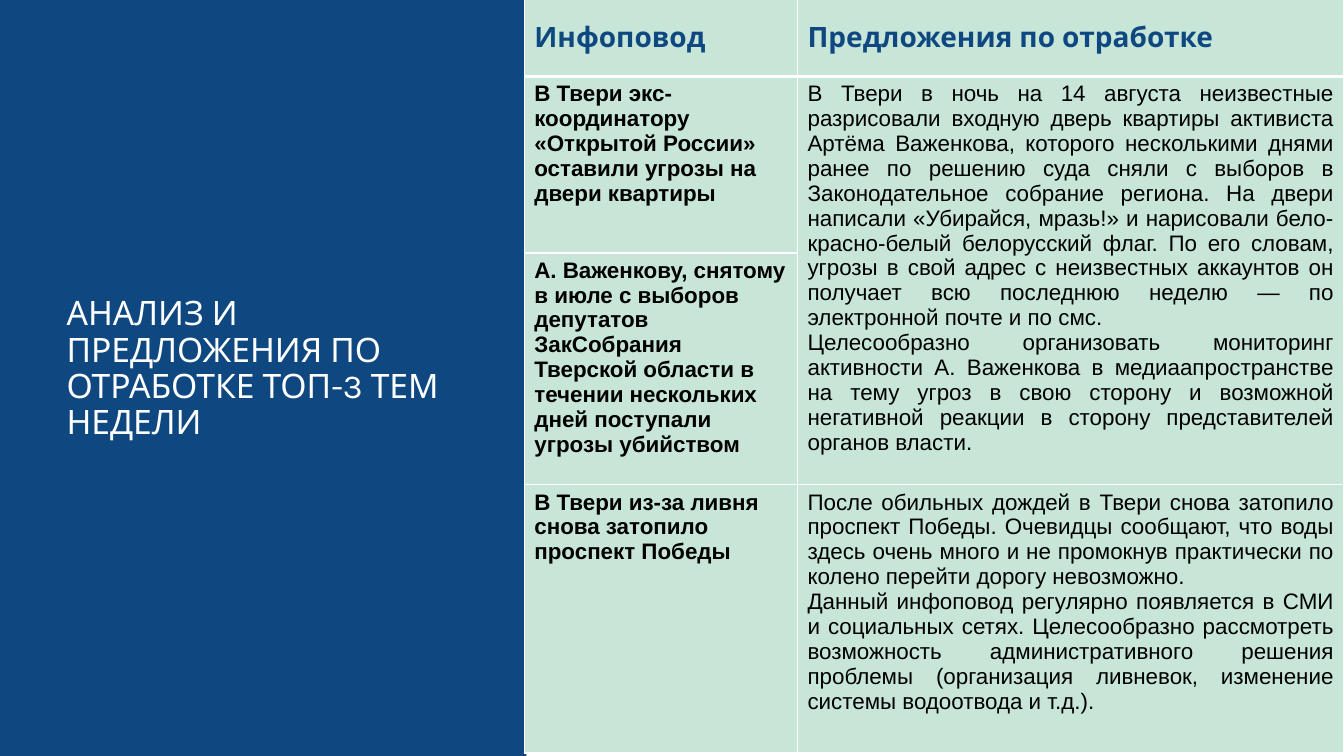
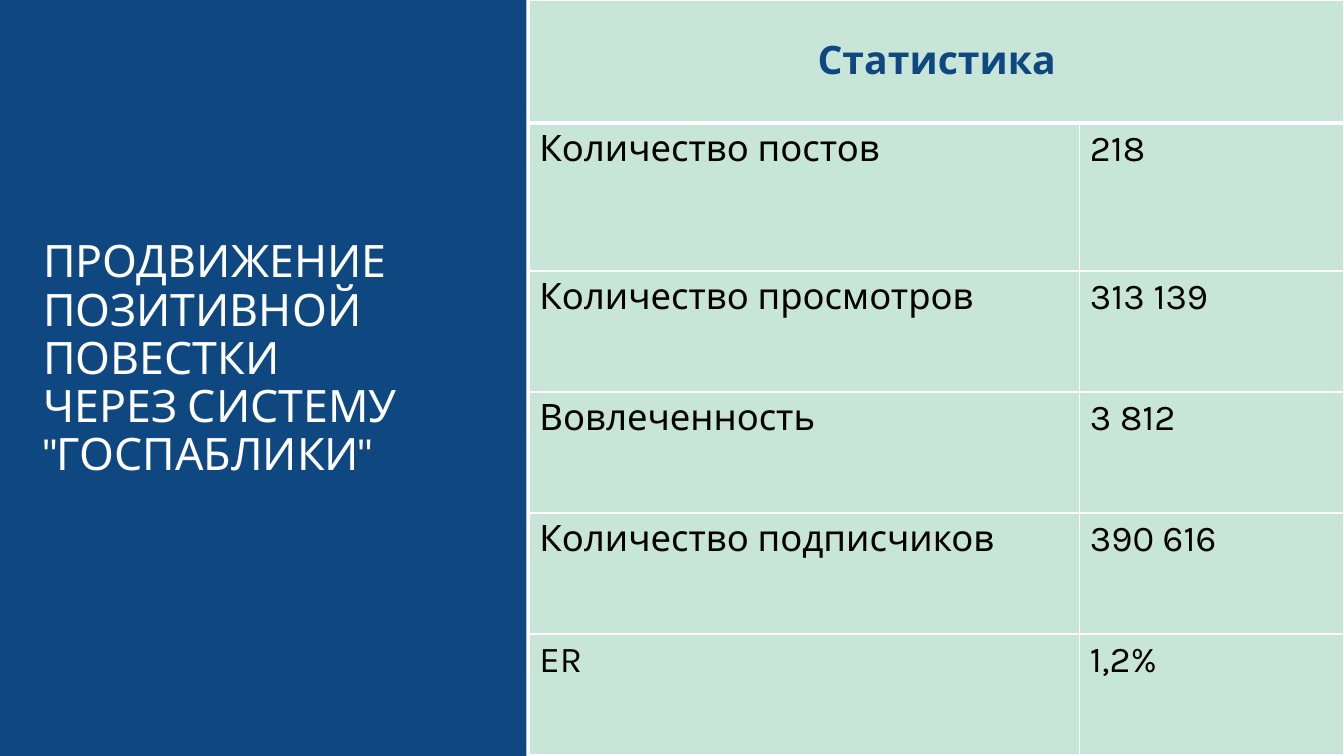
from dataclasses import dataclass

from lxml import etree
from pptx import Presentation
from pptx.dml.color import RGBColor
from pptx.enum.shapes import MSO_SHAPE
from pptx.enum.text import MSO_ANCHOR, MSO_AUTO_SIZE, PP_ALIGN
from pptx.oxml.ns import qn
from pptx.util import Inches, Pt

RECTANGLE = MSO_SHAPE.RECTANGLE
TOP, MIDDLE = MSO_ANCHOR.TOP, MSO_ANCHOR.MIDDLE
LEFT, CENTER, JUSTIFY = PP_ALIGN.LEFT, PP_ALIGN.CENTER, PP_ALIGN.JUSTIFY
NO_AUTOFIT = MSO_AUTO_SIZE.NONE


@dataclass(frozen=True)
class Theme:
    navy: str = "0F4881"
    mint: str = "C7E6D8"
    white: str = "FFFFFF"
    black: str = "000000"
    main_font: str = "Karla"
    text_font: str = "Arial"
    topics_title: float = 24
    topics_header: float = 20
    topics_text: float = 16
    stats_title: float = 31.9
    stats_header: float = 28
    stats_text: float = 26
    thin_rule: float = 0.96
    thick_rule: float = 3


THEME = Theme()
TITLE_ONLY = 5
PANEL_BOX = (0, 0, 5.22, 7.5)


def text_style(size, color, font=THEME.main_font, bold=False):
    return {"size": Pt(size), "name": font, "bold": bold,
            "color": RGBColor.from_string(color)}


def format_paragraph(paragraph, style, align):
    paragraph.alignment = align
    for name, value in style.items():
        if name == "color":
            paragraph.font.color.rgb = value
        else:
            setattr(paragraph.font, name, value)


# Side panel, shared through the layout
def add_panel(layout, slide, box):
    panel = slide.shapes.add_shape(RECTANGLE, *map(Inches, box))
    panel.shadow.inherit = False
    panel.fill.solid()
    panel.fill.fore_color.rgb = RGBColor.from_string(THEME.navy)
    panel.line.fill.background()
    layout.shapes.element.insert(2, panel.element)


# Slide title on the panel
def set_title(slide, text, box, size):
    title = slide.shapes.title
    title.left, title.top, title.width, title.height = map(Inches, box)
    frame = title.text_frame
    frame.text = text
    settings = {"word_wrap": True, "auto_size": NO_AUTOFIT,
                "vertical_anchor": MIDDLE}
    for name, value in settings.items():
        setattr(frame, name, value)
    heading = frame.paragraphs[0]
    heading.line_spacing = 0.9
    format_paragraph(heading, text_style(size, THEME.white), LEFT)


# Table cells
def set_borders(cell, row):
    widths = {
        "a:lnL": THEME.thin_rule,
        "a:lnR": THEME.thin_rule,
        "a:lnT": THEME.thick_rule if row == 1 else THEME.thin_rule,
        "a:lnB": THEME.thick_rule if row == 0 else THEME.thin_rule,
    }
    properties = cell._tc.get_or_add_tcPr()
    for position, (tag, width) in enumerate(widths.items()):
        line = etree.Element(qn(tag), w=str(int(Pt(width))))
        fill = etree.SubElement(line, qn("a:solidFill"))
        etree.SubElement(fill, qn("a:srgbClr"), val=THEME.white)
        properties.insert(position, line)


def fill_cell(cell, row, text, style, align):
    cell.fill.solid()
    cell.fill.fore_color.rgb = RGBColor.from_string(THEME.mint)
    cell.vertical_anchor = MIDDLE if row == 0 else TOP
    set_borders(cell, row)
    cell.text = text
    for paragraph in cell.text_frame.paragraphs:
        format_paragraph(paragraph, style, align)


def add_grid(slide, left, top, widths, heights, rows, merge, header, columns):
    """header and each of columns are (text style, alignment) pairs."""
    frame = slide.shapes.add_table(
        len(heights), len(widths), Inches(left), Inches(top),
        Inches(sum(widths)), Inches(sum(heights)))
    table = frame.table
    table.horz_banding = False
    for column, width in zip(table.columns, widths):
        column.width = Inches(width)
    for table_row, height in zip(table.rows, heights):
        table_row.height = Inches(height)
    for row, texts in enumerate(rows):
        for column, text in enumerate(texts):
            style, align = header if row == 0 else columns[column]
            fill_cell(table.cell(row, column), row, text, style, align)
    first, last = merge
    table.cell(*first).merge(table.cell(*last))


# Weekly topics with proposals
TOPICS = [
    ("Инфоповод", "Предложения по отработке"),
    ("В Твери экс-координатору «Открытой России» оставили угрозы "
     "на двери квартиры",
     "В Твери в ночь на 14 августа неизвестные разрисовали входную "
     "дверь квартиры активиста Артёма Важенкова, которого несколькими "
     "днями ранее по решению суда сняли с выборов в Законодательное "
     "собрание региона. На двери написали «Убирайся, мразь!» "
     "и нарисовали бело-красно-белый белорусский флаг. По его словам, "
     "угрозы в свой адрес с неизвестных аккаунтов он получает всю "
     "последнюю неделю — по электронной почте и по смс.\n"
     "Целесообразно организовать мониторинг активности А. Важенкова "
     "в медиаапространстве на тему угроз в свою сторону и возможной "
     "негативной реакции в сторону представителей органов власти."),
    ("А. Важенкову, снятому в июле с выборов депутатов ЗакСобрания "
     "Тверской области в течении нескольких дней поступали угрозы "
     "убийством", ""),
    ("В Твери из-за ливня снова затопило проспект Победы",
     "После обильных дождей в Твери снова затопило проспект Победы. "
     "Очевидцы сообщают, что воды здесь очень много и не промокнув "
     "практически по колено перейти дорогу невозможно.\n"
     "Данный инфоповод регулярно появляется в СМИ и социальных сетях. "
     "Целесообразно рассмотреть возможность административного решения "
     "проблемы (организация ливневок, изменение системы водоотвода "
     "и т.д.)."),
]


def build_topics(slide):
    set_title(slide, "АНАЛИЗ И ПРЕДЛОЖЕНИЯ ПО ОТРАБОТКЕ ТОП-3 ТЕМ НЕДЕЛИ",
              (0.56, 2.94, 3.97, 1.45), THEME.topics_title)
    header = text_style(THEME.topics_header, THEME.navy, bold=True)
    topic = text_style(THEME.topics_text, THEME.black, THEME.text_font, True)
    proposal = text_style(THEME.topics_text, THEME.black, THEME.text_font)
    add_grid(slide, 5.2, -0.01, [2.71, 5.42], [0.77, 1.75, 2.3, 2.66],
             TOPICS, ((1, 1), (2, 1)), (header, LEFT),
             [(topic, LEFT), (proposal, JUSTIFY)])


# Statistics of public pages
STATISTICS = [
    ("Статистика", ""),
    ("Количество постов", "218"),
    ("Количество просмотров", "313 139"),
    ("Вовлеченность", "3 812"),
    ("Количество подписчиков", "390 616"),
    ("ER", "1,2%"),
]


def build_statistics(slide):
    set_title(slide,
              'ПРОДВИЖЕНИЕ ПОЗИТИВНОЙ ПОВЕСТКИ ЧЕРЕЗ СИСТЕМУ "ГОСПАБЛИКИ"',
              (0.33, 2.14, 3.97, 2.86), THEME.stats_title)
    header = text_style(THEME.stats_header, THEME.navy, bold=True)
    figure = text_style(THEME.stats_text, THEME.black)
    add_grid(slide, 5.25, 0, [5.46, 2.62], [1.22, 1.47] + [1.2] * 4,
             STATISTICS, ((0, 0), (0, 1)), (header, CENTER),
             [(figure, LEFT)] * 2)


def main():
    deck = Presentation()
    deck.slide_width, deck.slide_height = Inches(13.33), Inches(7.5)
    layout = deck.slide_layouts[TITLE_ONLY]
    topics, statistics = (deck.slides.add_slide(layout) for _ in range(2))
    add_panel(layout, topics, PANEL_BOX)
    build_topics(topics)
    build_statistics(statistics)
    deck.save("out.pptx")


if __name__ == "__main__":
    main()
